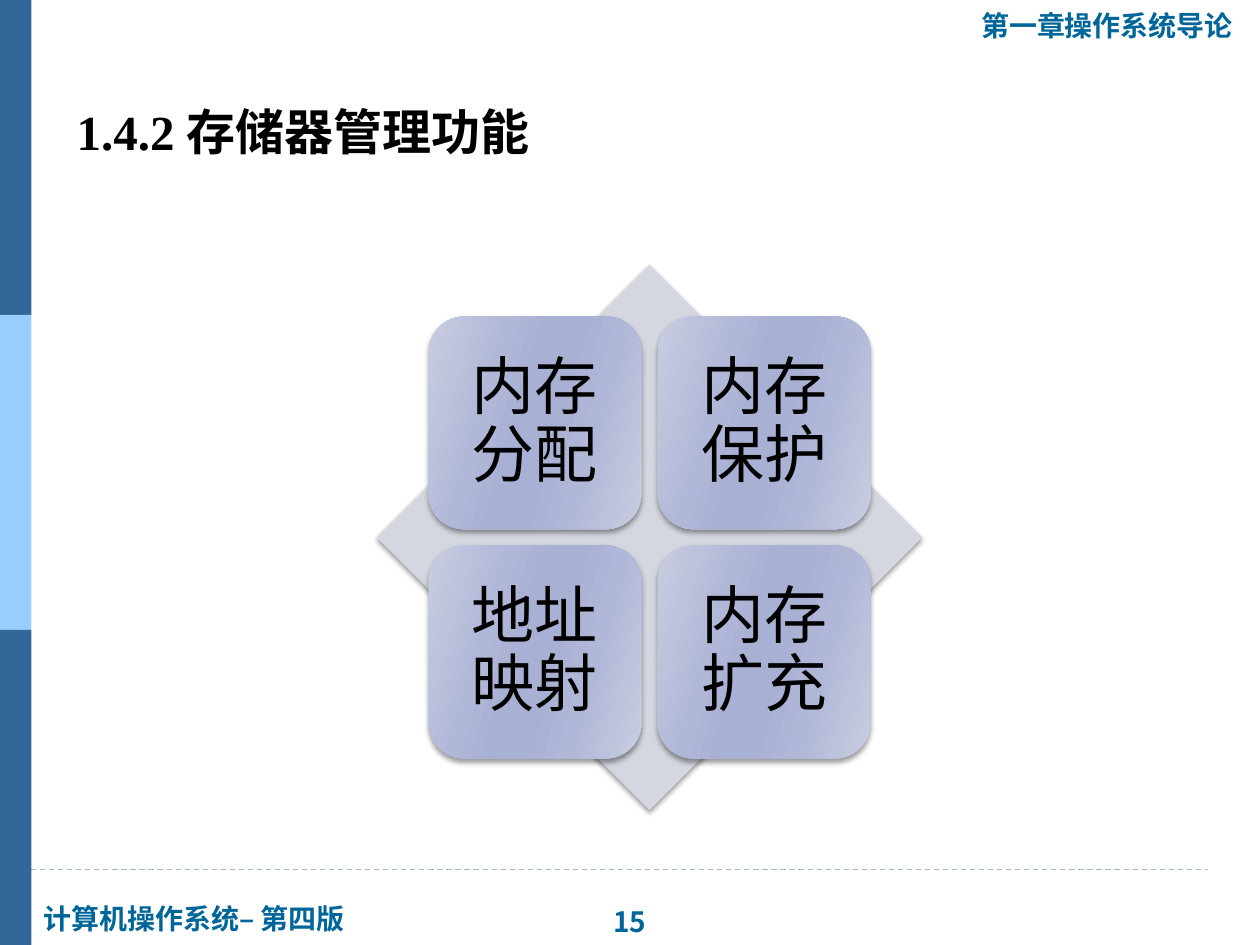
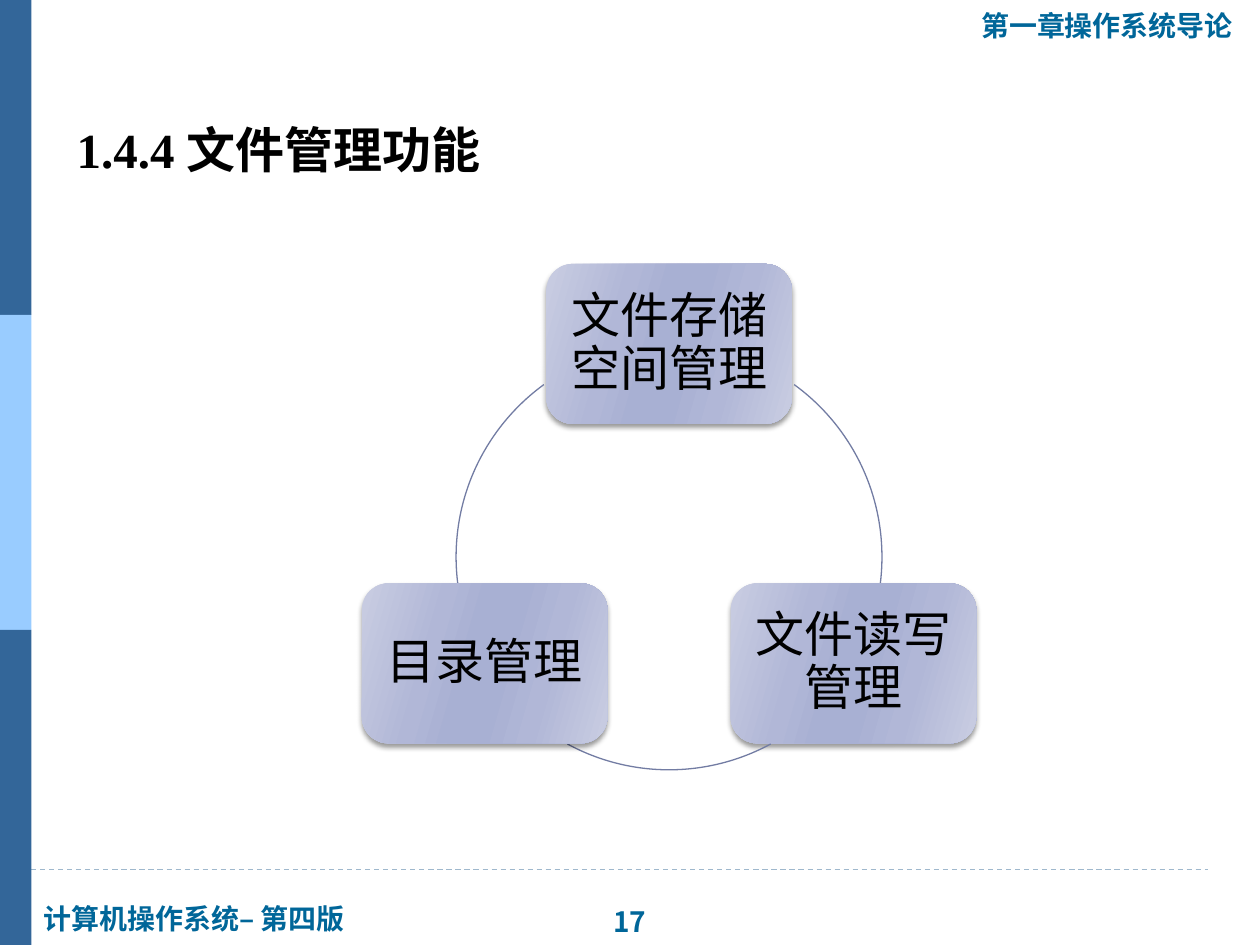
import math
from collections import namedtuple

from lxml import etree
from pptx import Presentation
from pptx.dml.color import RGBColor
from pptx.enum.dml import MSO_LINE
from pptx.enum.shapes import MSO_CONNECTOR, MSO_SHAPE
from pptx.enum.text import MSO_ANCHOR, PP_ALIGN
from pptx.oxml import parse_xml
from pptx.oxml.ns import nsdecls, qn
from pptx.util import Inches, Pt

RECTANGLE, ROUNDED = MSO_SHAPE.RECTANGLE, MSO_SHAPE.ROUNDED_RECTANGLE
DIAMOND, ARC = MSO_SHAPE.DIAMOND, MSO_SHAPE.ARC
STRAIGHT, DASH = MSO_CONNECTOR.STRAIGHT, MSO_LINE.DASH
LEFT, CENTER, JUSTIFY = PP_ALIGN.LEFT, PP_ALIGN.CENTER, PP_ALIGN.JUSTIFY
TOP, MIDDLE = MSO_ANCHOR.TOP, MSO_ANCHOR.MIDDLE

COLORS = {
    "band_dark": "336699",
    "band_light": "99CCFF",
    "rule": "9FB8CD",
    "label": "006699",
    "text": "000000",
    "diamond": "D5D7E0",
    "arc": "727CA3",
    "card_edge": "C9CDE2",
    "card_soft": "B1B7D7",
    "card_core": "A8B0D3",
}
CARD_STOPS = [(0, "card_edge"), (30, "card_soft"), (45, "card_core"),
              (55, "card_core"), (73, "card_soft"), (100, "card_edge")]

Box = namedtuple("Box", "left top width height")
PAGE = Box(0, 0, 10, 7.5)
TITLE = Box(0.51, 0.76, 8.98, 0.79)


def color(name):
    return RGBColor.from_string(COLORS[name])


def inches(box):
    return [Inches(value) for value in box]


def add_plain_shape(page, kind, box, fill=None):
    shape = page.shapes.add_shape(kind, *inches(box))
    shape.shadow.inherit = False
    shape.line.fill.background()
    if fill:
        shape.fill.solid()
        shape.fill.fore_color.rgb = color(fill)
    else:
        shape.fill.background()
    return shape


def add_soft_shadow(shape):
    effects = shape.element.spPr.find(qn("a:effectLst"))
    effects.append(parse_xml(
        f'<a:outerShdw {nsdecls("a")} blurRad="{Pt(3)}" dist="{Pt(2)}" dir="5400000" '
        'rotWithShape="0"><a:srgbClr val="000000"><a:alpha val="40000"/></a:srgbClr>'
        '</a:outerShdw>'))


def write(frame, text, size, font, name="text", bold=False, align=LEFT):
    para = frame.paragraphs[0]
    para.alignment = align
    span = para.add_run()
    span.text = text
    span.font.size = Pt(size)
    span.font.name = font
    span.font.bold = bold
    span.font.color.rgb = color(name)
    return para


def add_label(page, box, text, font="Arial", align=LEFT):
    frame = page.shapes.add_textbox(*inches(box)).text_frame
    frame.word_wrap = False
    write(frame, text, 16, font, "label", True, align)


def add_frame(page, box, number):
    """Dashed rule, side bands, header and footer."""
    rule_y = Inches(box.top + 6.9)
    rule = page.shapes.add_connector(STRAIGHT, Inches(box.left - 0.04), rule_y,
                                     Inches(box.left + 9.59), rule_y)
    rule.line.color.rgb = color("rule")
    rule.line.width = Pt(0.75)
    rule.line.dash_style = DASH
    etree.SubElement(rule.element.spPr, qn("a:effectLst"))

    band_height = box.height / 3
    for index, fill in enumerate(["band_dark", "band_light", "band_dark"]):
        band = Box(box.left, box.top + index * band_height, 0.25, band_height)
        add_plain_shape(page, RECTANGLE, band, fill)

    add_label(page, Box(box.left + 0.25, box.top + 7.11, 2.65, 0.37), "计算机操作系统– 第四版")
    add_label(page, Box(box.left + 4.73, box.top + 7.13, 0.54, 0.37), str(number),
              "Noto Sans CJK JP", CENTER)
    add_label(page, Box(box.left + 7.69, box.top + 0.02, 2.23, 0.37), "第一章操作系统导论")


def add_title(page, box, text, align=LEFT, spacing=1.0):
    frame = page.shapes.add_textbox(*inches(box)).text_frame
    frame.word_wrap = True
    frame.vertical_anchor = TOP
    para = write(frame, text, 28, "Times New Roman", bold=True, align=align)
    para.line_spacing = spacing


def add_card(page, box, text, size, margin):
    card = add_plain_shape(page, ROUNDED, box)
    add_soft_shadow(card)

    # Six-stop gradient; the angle counts counter-clockwise
    card.fill.gradient()
    card.fill.gradient_angle = 344
    stops = card.element.spPr.find(qn("a:gradFill")).find(qn("a:gsLst"))
    for stop in list(stops):
        stops.remove(stop)
    for position, name in CARD_STOPS:
        stop = etree.SubElement(stops, qn("a:gs"), pos=str(position * 1000))
        etree.SubElement(stop, qn("a:srgbClr"), val=COLORS[name])

    frame = card.text_frame
    frame.word_wrap = True
    frame.vertical_anchor = MIDDLE
    frame.margin_left = frame.margin_right = Inches(margin)
    frame.margin_top = frame.margin_bottom = Inches(margin)
    write(frame, text, size, "Calibri", align=CENTER).line_spacing = 0.9


def add_matrix(page, box, texts):
    """Four cards in a square over a diamond."""
    add_soft_shadow(add_plain_shape(page, DIAMOND, box, "diamond"))
    side, offset, step = (box.width * share for share in (0.39, 0.095, 0.42))
    for index, text in enumerate(texts):
        row, column = divmod(index, 2)
        card = Box(box.left + offset + column * step,
                   box.top + offset + row * step, side, side)
        add_card(page, card, text, 36, 0.15)


def add_cycle(page, box, texts, arcs):
    """Cards evenly spaced on a circle that fills the box, joined by arcs."""
    radius = box.width / 2
    width, height = 1.95, 1.27
    for index, (text, (start, end)) in enumerate(zip(texts, arcs)):
        angle = math.radians(360 / len(texts) * index - 90)
        center_x = box.left + radius + radius * math.cos(angle)
        center_y = box.top + radius + radius * math.sin(angle)
        card = Box(center_x - width / 2, center_y - height / 2, width, height)
        add_card(page, card, text, 28, 0.12)

        arc = add_plain_shape(page, ARC, box)
        arc.line.color.rgb = color("arc")
        arc.line.width = Pt(0.75)
        # Arc angles are stored in 60000ths of a degree, adjustments in 100000ths
        arc.adjustments[0] = start * 0.6
        arc.adjustments[1] = end * 0.6


def add_page(deck, number):
    page = deck.slides.add_slide(deck.slide_layouts[6])
    add_frame(page, PAGE, number)
    return page


def main():
    deck = Presentation()
    deck.slide_width, deck.slide_height = Inches(PAGE.width), Inches(PAGE.height)

    # Memory management
    page = add_page(deck, 15)
    add_title(page, TITLE, "1.4.2 存储器管理功能")
    add_matrix(page, Box(2.99, 2.1, 4.33, 4.33),
               ["内存分配", "内存保护", "地址映射", "内存扩充"])

    # File management
    page = add_page(deck, 17)
    add_title(page, TITLE, "1.4.4 文件管理功能", JUSTIFY, 1.3)
    add_cycle(page, Box(3.62, 2.73, 3.38, 3.38),
              ["文件存储空间管理", "文件读写管理", "目录管理"],
              [(306, 7), (61.5, 118.5), (173, 234)])

    deck.save("out.pptx")


if __name__ == "__main__":
    main()
